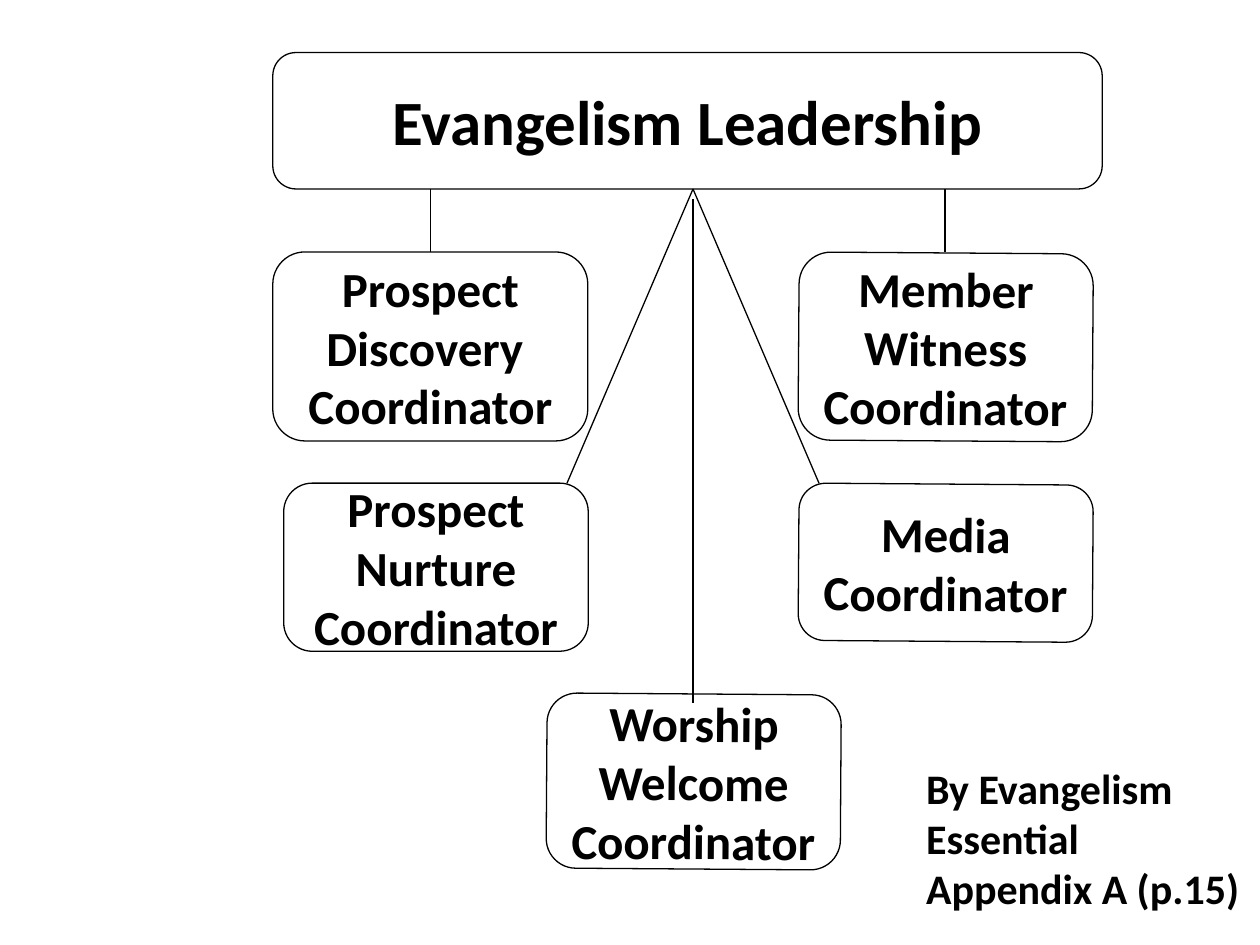
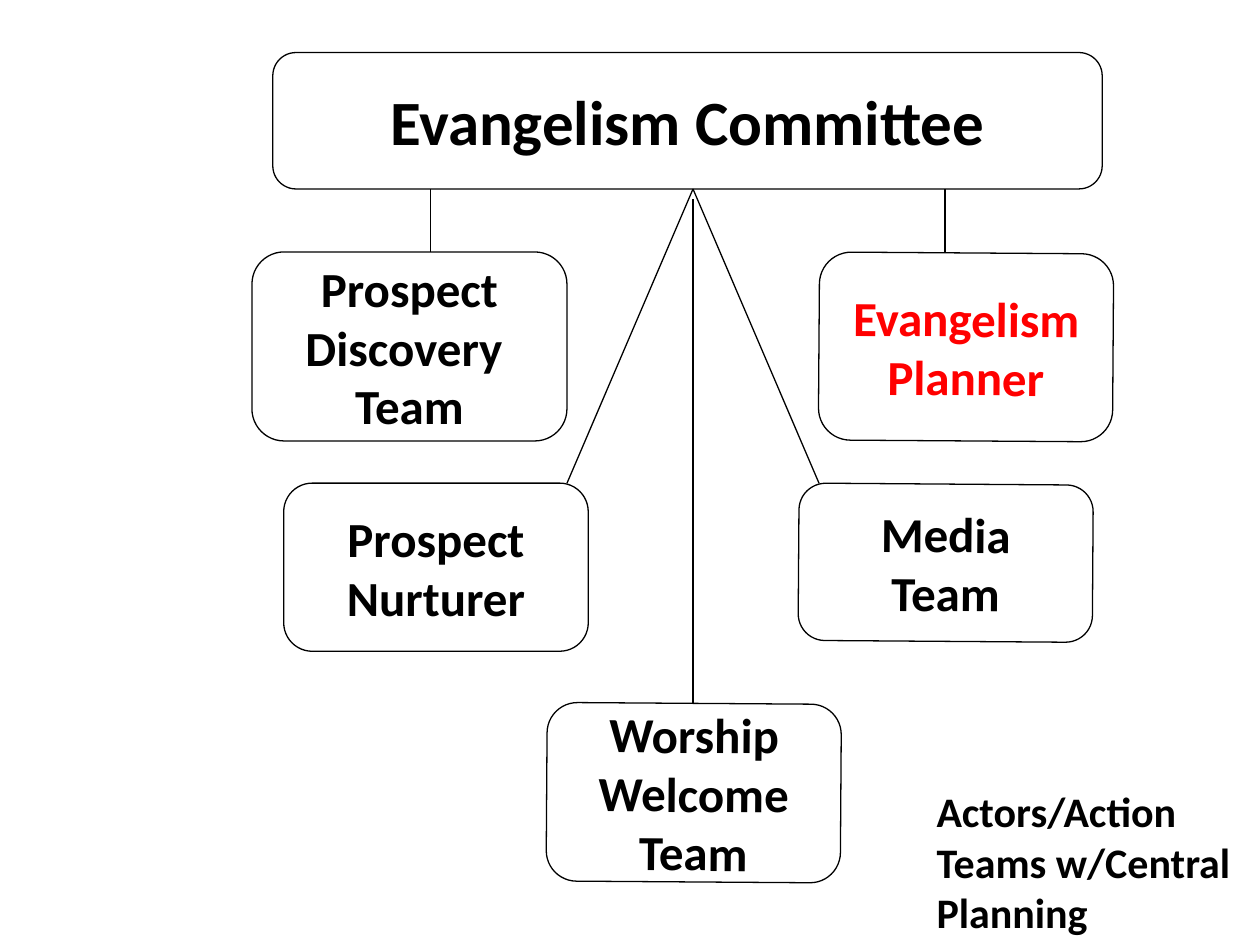
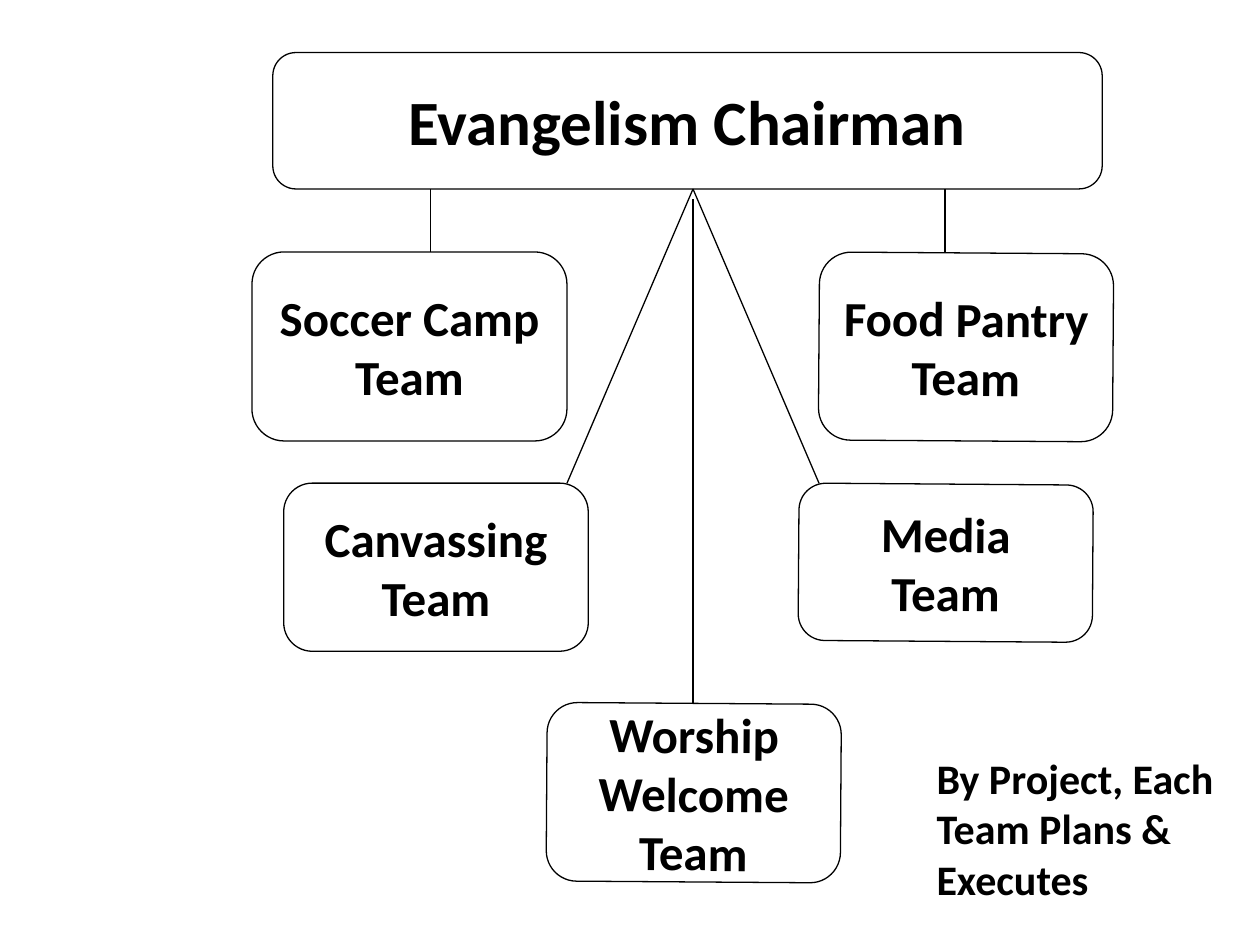
from dataclasses import dataclass
from typing import Any, NamedTuple

from lxml.etree import SubElement
from pptx import Presentation
from pptx.dml.color import RGBColor
from pptx.enum.shapes import MSO_CONNECTOR, MSO_SHAPE
from pptx.enum.text import MSO_ANCHOR, MSO_AUTO_SIZE, PP_ALIGN
from pptx.oxml.ns import qn
from pptx.util import Cm, Pt

BLACK, WHITE, RED = "000000", "FFFFFF", "FF0000"
FONT = "Calibri"
LINE_WIDTH = Pt(0.75)
TILT = 0.4


class Rect(NamedTuple):
    """Left, top, width and height in centimetres."""
    left: float
    top: float
    width: float
    height: float


class Link(NamedTuple):
    """Start and end of a straight line in centimetres."""
    x1: float
    y1: float
    x2: float
    y2: float


@dataclass(frozen=True)
class Box:
    """A role on the chart: its place, lines of text, tilt and text colour."""
    rect: Rect
    lines: tuple[str, ...]
    tilt: float = 0
    color: str = BLACK


@dataclass(frozen=True)
class Chart:
    """One organisation slide: heading, role boxes and corner note."""
    heading: str
    boxes: tuple[Box, ...]
    note: tuple[str, ...]
    note_rect: Rect


HEADING = Rect(5.5, 1.06, 16.72, 2.75)
UPPER_LEFT = Rect(5.08, 5.08, 6.35, 3.81)
UPPER_RIGHT = Rect(16.51, 5.1, 5.93, 3.79)
LOWER_LEFT = Rect(5.72, 9.74, 6.14, 3.39)
LOWER_RIGHT = Rect(16.1, 9.76, 5.93, 3.17)
BOTTOM = Rect(11.02, 14.18, 5.93, 3.6)
NOTE = Rect(18.63, 15.72, 6.77, 3.33)

LINKS = (
    Link(8.68, 3.81, 8.68, 5.08),
    Link(19.05, 3.81, 19.05, 5.08),
    Link(13.97, 3.81, 11.43, 9.74),
    Link(13.97, 3.81, 16.51, 9.74),
    Link(13.97, 4.02, 13.97, 14.18),
)

MEDIA_TEAM = Box(LOWER_RIGHT, ("Media", "Team"), TILT)
WELCOME_TEAM = Box(BOTTOM, ("Worship Welcome", "Team"), TILT)

CHARTS = (
    Chart(
        "Evangelism Leadership",
        (
            Box(UPPER_LEFT._replace(left=5.5), ("Prospect Discovery ", "Coordinator")),
            Box(UPPER_RIGHT._replace(left=16.1), ("Member Witness", "Coordinator"), TILT),
            Box(LOWER_RIGHT, ("Media", "Coordinator"), TILT),
            Box(LOWER_LEFT, ("Prospect Nurture", "Coordinator")),
            Box(BOTTOM._replace(top=13.99, height=3.53), ("Worship Welcome", "Coordinator"), TILT),
        ),
        ("By Evangelism Essential", "Appendix A (p.15)"),
        Rect(18.42, 15.24, 6.98, 3.33),
    ),
    Chart(
        "Evangelism Committee",
        (
            Box(UPPER_LEFT, ("Prospect Discovery ", "Team")),
            Box(UPPER_RIGHT, ("Evangelism Planner",), TILT, RED),
            MEDIA_TEAM,
            Box(LOWER_LEFT, ("Prospect Nurturer",)),
            WELCOME_TEAM,
        ),
        ("Actors/Action Teams w/Central Planning",),
        NOTE,
    ),
    Chart(
        "Evangelism Chairman",
        (
            Box(UPPER_LEFT, ("Soccer Camp Team",)),
            Box(UPPER_RIGHT, ("Food Pantry", "Team"), TILT),
            MEDIA_TEAM,
            Box(LOWER_LEFT, ("Canvassing Team",)),
            WELCOME_TEAM,
        ),
        ("By Project, Each Team Plans & Executes",),
        NOTE._replace(top=15.04),
    ),
)

CENTRED = {
    "vertical_anchor": MSO_ANCHOR.MIDDLE,
    "auto_size": MSO_AUTO_SIZE.NONE,
    "margin_left": Cm(0.15),
    "margin_right": Cm(0.15),
    "margin_top": Cm(0.08),
    "margin_bottom": Cm(0.08),
}
NOTE_FRAME = {"auto_size": MSO_AUTO_SIZE.SHAPE_TO_FIT_TEXT}


def rgb(value: str) -> RGBColor:
    """Turn a hex string into a colour."""
    return RGBColor.from_string(value)


def set_attrs(target: Any, values: dict[str, Any]) -> None:
    """Set every attribute named in the format values."""
    for name, value in values.items():
        setattr(target, name, value)


def lengths(values: tuple[float, ...]) -> list[Cm]:
    """Convert centimetre numbers to lengths."""
    return [Cm(value) for value in values]


def write(sp: Any, lines: tuple[str, ...], size: int, frame: dict[str, Any],
          align: PP_ALIGN = PP_ALIGN.CENTER, color: str = BLACK) -> None:
    """Write one bold paragraph for each line of text."""
    tf = sp.text_frame
    set_attrs(tf, {"word_wrap": True, **frame})
    for i, line in enumerate(lines):
        p = tf.add_paragraph() if i else tf.paragraphs[0]
        p.alignment = align
        r = p.add_run()
        r.text = line
        set_attrs(r.font, {"name": FONT, "size": Pt(size), "bold": True})
        r.font.color.rgb = rgb(color)


def add_frame(slide: Any, rect: Rect, tilt: float = 0) -> Any:
    """Add a white rounded box with a thin black outline."""
    sp = slide.shapes.add_shape(MSO_SHAPE.ROUNDED_RECTANGLE, *lengths(rect))
    sp.adjustments[0] = 0.17
    sp.rotation = tilt
    sp.shadow.inherit = False
    sp.fill.solid()
    sp.fill.fore_color.rgb = rgb(WHITE)
    sp.line.color.rgb = rgb(BLACK)
    sp.line.width = LINE_WIDTH
    return sp


def add_heading(slide: Any, heading: str) -> None:
    """Place the slide title in its rounded frame."""
    title = slide.shapes.title
    set_attrs(title, dict(zip(("left", "top", "width", "height"), lengths(HEADING))))
    write(title, (heading,), 36, CENTRED)
    title.element.addprevious(add_frame(slide, HEADING).element)


def add_box(slide: Any, box: Box) -> None:
    """Add a role box with its text."""
    sp = add_frame(slide, box.rect, box.tilt)
    write(sp, box.lines, 28, CENTRED, color=box.color)


def add_link(slide: Any, link: Link) -> None:
    """Add a thin black line without a shadow."""
    cxn = slide.shapes.add_connector(MSO_CONNECTOR.STRAIGHT, *lengths(link))
    cxn.line.color.rgb = rgb(BLACK)
    cxn.line.width = LINE_WIDTH
    SubElement(cxn.element.spPr, qn("a:effectLst"))


def add_note(slide: Any, lines: tuple[str, ...], rect: Rect) -> None:
    """Add the note in the lower right corner."""
    sp = slide.shapes.add_textbox(*lengths(rect))
    write(sp, lines, 24, NOTE_FRAME, PP_ALIGN.LEFT)


def add_chart_slide(prs: Any, chart: Chart) -> None:
    """Draw one organisation slide."""
    slide = prs.slides.add_slide(prs.slide_layouts.get_by_name("Title Only"))
    add_heading(slide, chart.heading)
    for box in chart.boxes:
        add_box(slide, box)
    for link in LINKS:
        add_link(slide, link)
    add_note(slide, chart.note, chart.note_rect)


def main() -> None:
    """Build and save the presentation."""
    prs = Presentation()
    set_attrs(prs, {"slide_width": Cm(25.4), "slide_height": Cm(19.05)})
    for chart in CHARTS:
        add_chart_slide(prs, chart)
    prs.save("out.pptx")


if __name__ == "__main__":
    main()
